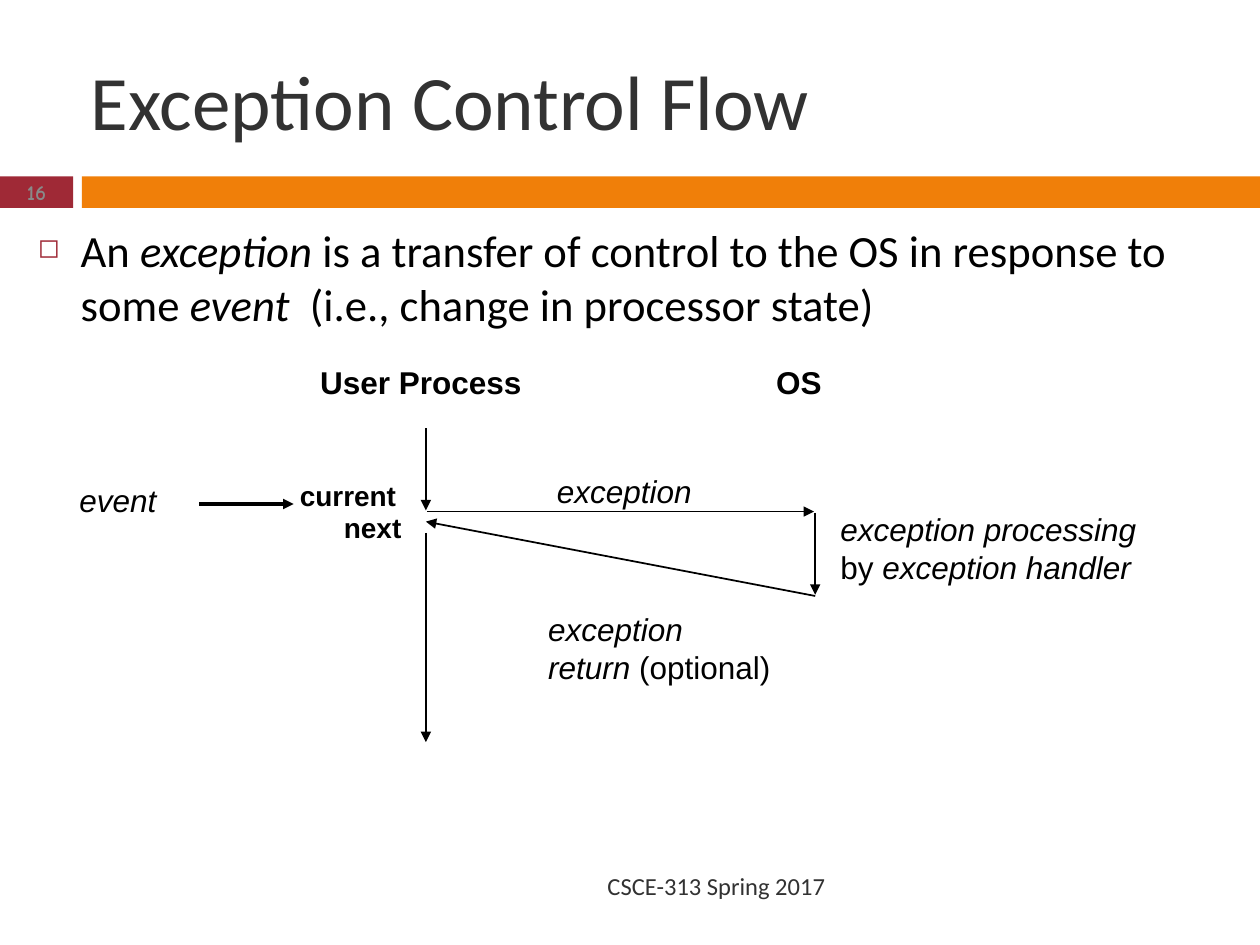
from lxml import etree
from pptx import Presentation
from pptx.dml.color import RGBColor
from pptx.enum.shapes import MSO_CONNECTOR, MSO_SHAPE
from pptx.enum.text import MSO_ANCHOR, PP_ALIGN
from pptx.oxml.ns import qn
from pptx.util import Inches, Pt

LINE, RECT = MSO_CONNECTOR.STRAIGHT, MSO_SHAPE.RECTANGLE
TOP, MID = MSO_ANCHOR.TOP, MSO_ANCHOR.MIDDLE
LEFT, MIDDLE, RIGHT = PP_ALIGN.LEFT, PP_ALIGN.CENTER, PP_ALIGN.RIGHT
BLACK, GREY, PALE = "000000", "323232", "898989"
RED, ORANGE = "9F2936", "F07F09"


def paint(color, code):
    """Set a colour from a hex string."""
    color.rgb = RGBColor.from_string(code)


def add_text(slide, box, lines, size, font="Arial", code=BLACK, bold=False,
             align=LEFT, anchor=TOP, wrap=False):
    """Add lines of text, with asterisks around italic words."""
    frame = slide.shapes.add_textbox(*map(Inches, box)).text_frame
    frame.word_wrap = wrap
    frame.vertical_anchor = anchor
    frame.margin_left = frame.margin_right = Inches(0.05)
    frame.margin_top = frame.margin_bottom = Inches(0.05)
    for i, line in enumerate(lines):
        para = frame.paragraphs[0] if i == 0 else frame.add_paragraph()
        para.alignment = align
        para.font.name, para.font.size, para.font.bold = font, Pt(size), bold
        paint(para.font.color, code)
        for j, part in enumerate(line.split("*")):
            if part:
                run = para.add_run()
                run.text = part
                run.font.italic = j % 2 == 1
    return frame


def add_arrow(slide, start, end, width=1):
    """Draw a line with a triangle at its end."""
    line = slide.shapes.add_connector(LINE, *map(Inches, start + end))
    line.line.width = Pt(width)
    paint(line.line.color, BLACK)
    etree.SubElement(line.line._get_or_add_ln(), qn("a:tailEnd"), type="triangle")
    etree.SubElement(line._element.spPr, qn("a:effectLst"))


def add_band(slide, x, y, wide, high):
    """Draw the two-tone band and the slide number."""
    split, gap = 0.58, 0.07
    bars = ((x, split, RED), (x + split + gap, wide - split - gap, ORANGE))
    for left, width, code in bars:
        bar = slide.shapes.add_shape(RECT, *map(Inches, (left, y, width, high)))
        bar.shadow.inherit = False
        bar.fill.solid()
        paint(bar.fill.fore_color, code)
        bar.line.fill.background()
    add_text(slide, (x + 0.15, y - 0.05, 0.28, high + 0.1), ["16"], 12,
             "Comic Neue", PALE, bold=True, align=MIDDLE, anchor=MID)


def add_body(slide, box):
    """Add the bulleted definition."""
    text = ("An *exception* is a transfer of control to the OS in response to "
            "some *event*  (i.e., change in processor state)")
    para = add_text(slide, box, [text], 25.5, "Calibri", wrap=True).paragraphs[0]
    para.space_before = Pt(6)
    props = para._p.get_or_add_pPr()
    props.set("marL", str(Inches(0.34)))
    props.set("indent", str(Inches(-0.34)))
    marks = [etree.Element(qn("a:buClr")),
             etree.Element(qn("a:buSzPct"), val="60000"),
             etree.Element(qn("a:buChar"), char="◻")]
    etree.SubElement(marks[0], qn("a:srgbClr"), val=RED)
    spot = props.index(props.find(qn("a:defRPr")))
    props[spot:spot] = marks


def add_flow(slide, x, y):
    """Draw the control flow between the user process and the OS."""
    user, kernel = x + 2.8, x + 5.89
    call, back = y + 1.23, y + 1.9
    add_arrow(slide, (user, y + 0.57), (user, call - 0.01))
    add_arrow(slide, (user + 0.01, call), (kernel - 0.01, call))
    add_arrow(slide, (kernel, call + 0.01), (kernel, back - 0.01))
    add_arrow(slide, (kernel, back), (user, call + 0.08))
    add_arrow(slide, (user, call + 0.17), (user, y + 3.06))
    add_arrow(slide, (x + 1, y + 1.17), (x + 1.75, y + 1.17), 2)
    heads = ((1.91, 0, 1.71, "User Process", 18), (5.53, 0, 0.47, "OS", 18),
             (1.75, 0.92, 0.88, "current", 16), (2.1, 1.17, 0.57, "next", 16))
    for dx, dy, wide, text, size in heads:
        add_text(slide, (x + dx, y + dy, wide, 0.38), [text], size, bold=True)
    notes = ((0, 0.94, 0.88, ["*event*"]),
             (3.79, 0.87, 1.18, ["*exception*"]),
             (6.04, 1.17, 2.76, ["*exception processing*", "by *exception handler*"]),
             (3.72, 1.96, 1.88, ["*exception*", "*return *(optional)"]))
    for dx, dy, wide, lines in notes:
        add_text(slide, (x + dx, y + dy, wide, 0.38 * len(lines)), lines, 18)


def main():
    """Build and save the slide."""
    deck = Presentation()
    deck.slide_width, deck.slide_height = Inches(10), Inches(7.5)
    slide = deck.slides.add_slide(deck.slide_layouts[6])
    add_band(slide, 0, 1.4, 10, 0.25)
    add_text(slide, (0.67, 0.25, 8.92, 1.08), ["Exception Control Flow"], 44,
             "Calibri", GREY, anchor=MID, wrap=True)
    add_body(slide, (0.25, 1.72, 9.5, 1.2))
    add_flow(slide, 0.58, 2.83)
    add_text(slide, (0.67, 6.86, 5.93, 0.34), ["CSCE-313 Spring 2017"], 14,
             "Calibri", GREY, align=RIGHT, anchor=MID, wrap=True)
    deck.save("out.pptx")


if __name__ == "__main__":
    main()
